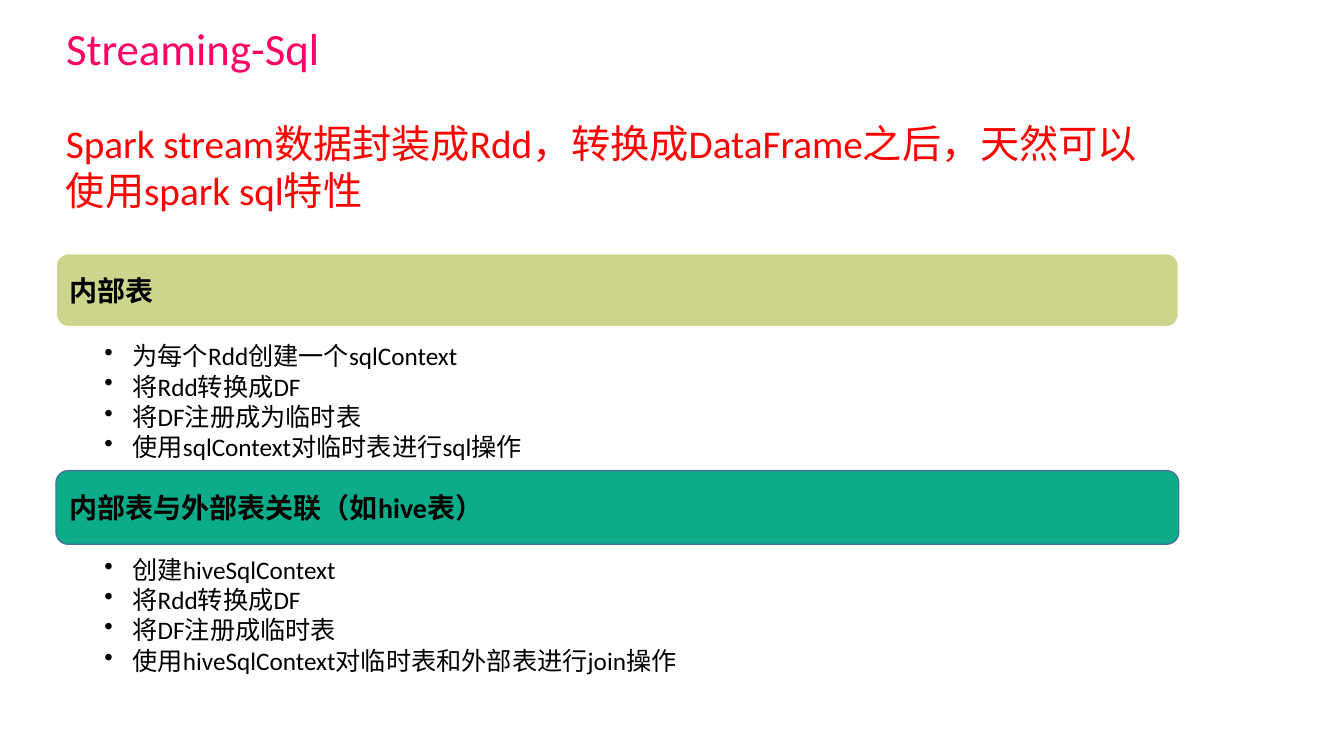
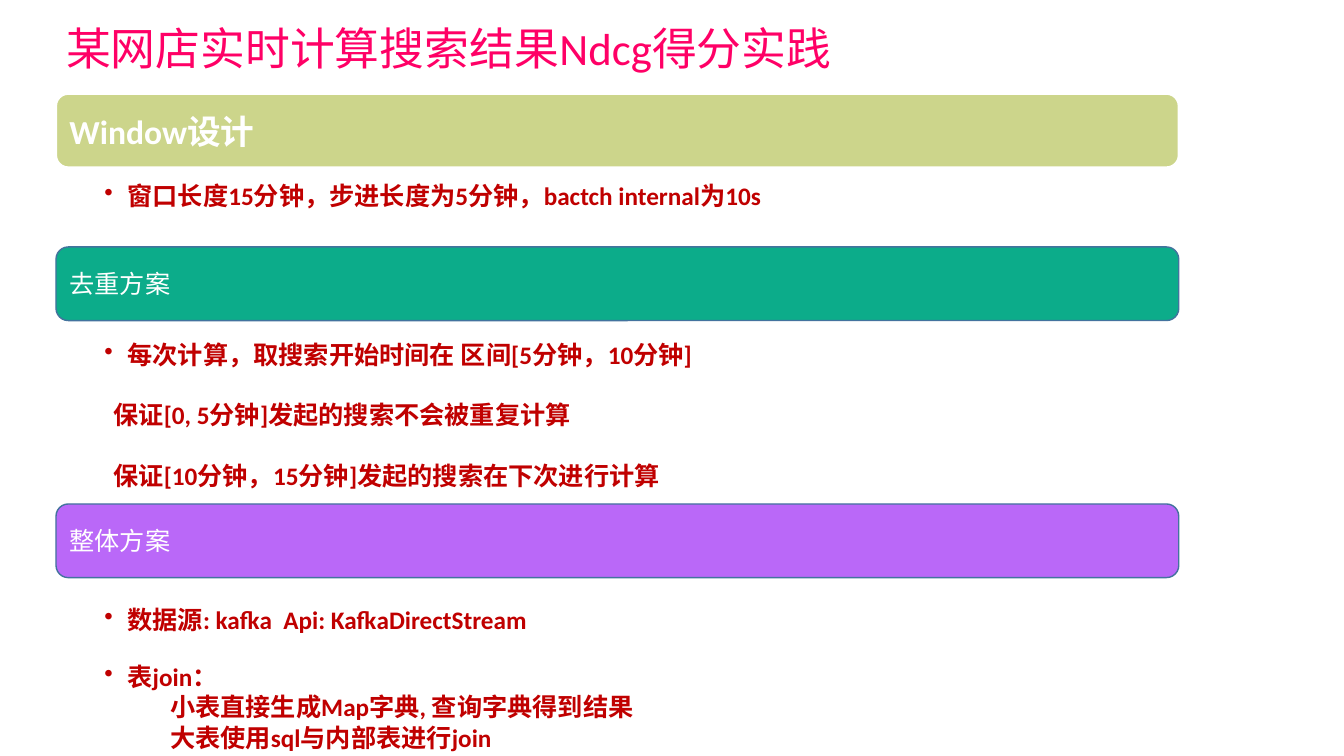
from dataclasses import dataclass

from lxml import etree
from pptx import Presentation
from pptx import util as u
from pptx.dml import color
from pptx.enum import shapes, text
from pptx.oxml import ns

FONT = "Calibri"
COLORS = {
    "title": "FF0066", "lead": "FF0000", "black": "000000", "white": "FFFFFF",
    "strong": "C00000", "olive": "CCD58B", "green": "0CAC8A",
    "purple": "BA68F8", "outline": "43739E",
}
LEFT, BAND_WIDTH, BAND_HEIGHT = 40, 802, 52.6
LIST_LEFT, LIST_WIDTH, LIST_SIZE = 62.4, 522, 18
LINE_HEIGHT = 21.6
BULLET_INDENT = 5


@dataclass
class Line:
    words: str
    bullet: bool = True
    indent: float = 0    # used by lines without a bullet
    before: float = 0


@dataclass
class Band:
    top: float
    words: str
    fill: str
    size: float = 18
    ink: str = "white"
    bold: bool = False
    outline: str = "outline"
    weight: float = 1


@dataclass
class BulletList:
    top: float
    lines: list[Line]
    hang: float = 21.6
    ink: str = "strong"
    bold: bool = True


@dataclass
class Page:
    title: str
    title_width: float
    bands: list[Band]
    lists: list[BulletList]
    lead: str = ""


PAGES = [
    Page(
        "Streaming-Sql", 244.8,
        [Band(181, "内部表", "olive", 20, "black", True, "white", 1.5),
         Band(336.2, "内部表与外部表关联（如hive表）", "green", 20, "black", True)],
        [BulletList(239.8, [Line("为每个Rdd创建一个sqlContext"),
                            Line("将Rdd转换成DF"),
                            Line("将DF注册成为临时表"),
                            Line("使用sqlContext对临时表进行sql操作")],
                    25.2, "black", False),
         BulletList(392.4, [Line("创建hiveSqlContext"),
                            Line("将Rdd转换成DF"),
                            Line("将DF注册成临时表"),
                            Line("使用hiveSqlContext对临时表和外部表进行join操作")],
                    25.2, "black", False)],
        "Spark stream数据封装成Rdd，转换成DataFrame之后，天然可以使用spark sql特性",
    ),
    Page(
        "某网店实时计算搜索结果Ndcg得分实践", 640,
        [Band(67, "Window设计", "olive", 24, "white", True, "white", 1.5),
         Band(176.4, "去重方案", "green"),
         Band(360, "整体方案", "purple")],
        [BulletList(125.3, [Line("窗口长度15分钟，步进长度为5分钟，bactch internal为10s")]),
         BulletList(238.6, [
             Line("每次计算，取搜索开始时间在 区间[5分钟，10分钟]"),
             Line("保证[0, 5分钟]发起的搜索不会被重复计算", False, 11.5, LINE_HEIGHT),
             Line("保证[10分钟，15分钟]发起的搜索在下次进行计算", False, 11.5, LINE_HEIGHT)]),
         BulletList(428, [Line("数据源: kafka  Api: KafkaDirectStream")]),
         BulletList(469, [
             Line("表join："),
             Line("小表直接生成Map字典, 查询字典得到结果", False, 52),
             Line("大表使用sql与内部表进行join", False, 52)])],
    ),
]


def rgb(name: str) -> color.RGBColor:
    return color.RGBColor.from_string(COLORS[name])


def write(para, words: str, *, size: float, ink: str, bold: bool = False) -> None:
    """Add formatted, left-aligned text to a paragraph."""
    para.alignment = text.PP_ALIGN.LEFT
    span = para.add_run()
    span.text = words
    span.font.name = FONT
    span.font.size = u.Pt(size)
    span.font.bold = bold
    span.font.color.rgb = rgb(ink)


def set_indent(para, margin: float, bullet: bool) -> None:
    first = BULLET_INDENT - margin if bullet else 0
    props = para._p.get_or_add_pPr()
    props.set("marL", str(int(u.Pt(margin))))
    props.set("indent", str(int(u.Pt(first))))
    if bullet:
        etree.SubElement(props, ns.qn("a:buChar")).set("char", "•")


def fit_frame(frame) -> None:
    frame.word_wrap = True
    frame.auto_size = text.MSO_AUTO_SIZE.SHAPE_TO_FIT_TEXT
    frame.vertical_anchor = text.MSO_ANCHOR.TOP


def add_box(slide, left: float, top: float, width: float, height: float):
    box = slide.shapes.add_textbox(u.Pt(left), u.Pt(top), u.Pt(width), u.Pt(height))
    fit_frame(box.text_frame)
    return box.text_frame


def set_title(slide, page: Page) -> None:
    title = slide.shapes.title
    title.left, title.top = u.Pt(LEFT), u.Pt(11.5)
    title.width, title.height = u.Pt(page.title_width), u.Pt(46)
    fit_frame(title.text_frame)
    write(title.text_frame.paragraphs[0], page.title, size=32, ink="title")


def draw_band(slide, band: Band) -> None:
    bar = slide.shapes.add_shape(
        shapes.MSO_SHAPE.ROUNDED_RECTANGLE,
        u.Pt(LEFT), u.Pt(band.top), u.Pt(BAND_WIDTH), u.Pt(BAND_HEIGHT))
    bar.shadow.inherit = False
    bar.fill.solid()
    bar.fill.fore_color.rgb = rgb(band.fill)
    bar.line.color.rgb = rgb(band.outline)
    bar.line.width = u.Pt(band.weight)
    bar.text_frame.word_wrap = True
    bar.text_frame.vertical_anchor = text.MSO_ANCHOR.MIDDLE
    write(bar.text_frame.paragraphs[0], band.words,
          size=band.size, ink=band.ink, bold=band.bold)


def draw_list(slide, block: BulletList) -> None:
    height = 7.2 + sum(LINE_HEIGHT + line.before for line in block.lines)
    frame = add_box(slide, LIST_LEFT, block.top, LIST_WIDTH, height)
    for number, line in enumerate(block.lines):
        para = frame.add_paragraph() if number else frame.paragraphs[0]
        para.space_before = u.Pt(line.before)
        set_indent(para, block.hang if line.bullet else line.indent, line.bullet)
        write(para, line.words, size=LIST_SIZE, ink=block.ink, bold=block.bold)


def draw_page(deck, page: Page) -> None:
    slide = deck.slides.add_slide(deck.slide_layouts.get_by_name("Title Only"))
    set_title(slide, page)
    if page.lead:
        frame = add_box(slide, LEFT, 81.4, 799.2, 74.9)
        write(frame.paragraphs[0], page.lead, size=28, ink="lead")
    for band in page.bands:
        draw_band(slide, band)
    for block in page.lists:
        draw_list(slide, block)


def main() -> None:
    deck = Presentation()
    deck.slide_width, deck.slide_height = u.Pt(960), u.Pt(540)
    for page in PAGES:
        draw_page(deck, page)
    deck.save("out.pptx")


if __name__ == "__main__":
    main()
